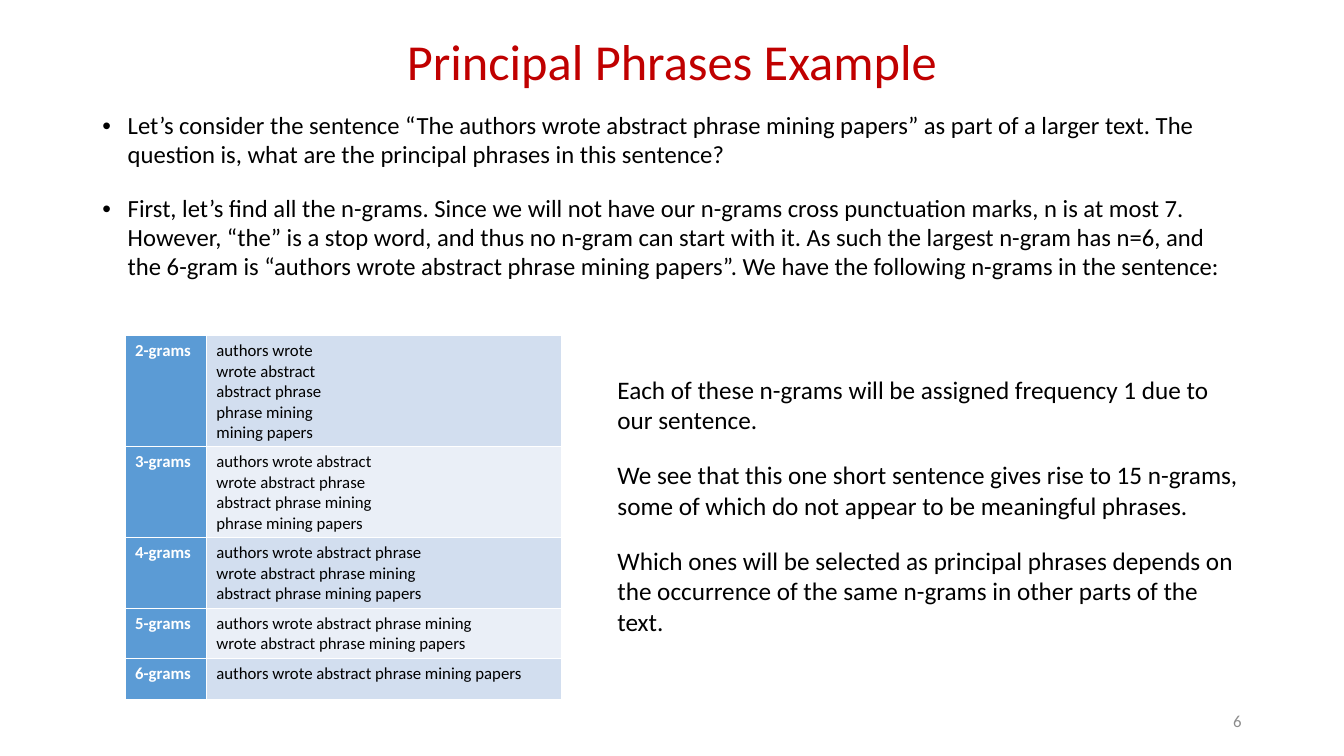
from dataclasses import dataclass

from pptx import Presentation
from pptx.dml.color import RGBColor as RGB
from pptx.enum.text import MSO_ANCHOR as ANCHOR, MSO_AUTO_SIZE as FIT, PP_ALIGN as ALIGN
from pptx.oxml.ns import qn
from pptx.util import Cm, Pt
from lxml import etree


@dataclass(frozen=True)
class Theme:
    font: str = "Calibri"
    title: str = "C00000"
    text: str = "000000"
    muted: str = "8C8C8C"
    white: str = "FFFFFF"
    label_fill: str = "5B9BD5"
    bands: tuple = ("D2DEEF", "EAEFF7")
    title_size: float = 36
    bullet_size: float = 17.6
    remark_size: float = 18
    small_size: float = 12
    gap: float = 18


T = Theme()
PHRASE = "authors wrote abstract phrase mining papers"
BULLETS = [
    "Let’s consider the sentence “The authors wrote abstract phrase mining papers” as part "
    "of a larger text. The question is, what are the principal phrases in this sentence?",
    "First, let’s find all the n-grams. Since we will not have our n-grams cross punctuation "
    "marks, n is at most 7. However, “the” is a stop word, and thus no n-gram can start with "
    "it. As such the largest n-gram has n=6, and the 6-gram is “authors wrote abstract phrase "
    "mining papers”. We have the following n-grams in the sentence:",
]
REMARKS = [
    "Each of these n-grams will be assigned frequency 1 due to our sentence.",
    "We see that this one short sentence gives rise to 15 n-grams, some of which do not "
    "appear to be meaningful phrases.",
    "Which ones will be selected as principal phrases depends on the occurrence of the same "
    "n-grams in other parts of the text.",
]


def write(tf, lines, size, color, bold=False, align=ALIGN.LEFT, after=0, spacing=1.0):
    """Fill a text frame with one paragraph per line."""
    tf.word_wrap = True
    for i, line in enumerate(lines):
        p = tf.add_paragraph() if i else tf.paragraphs[0]
        p.alignment, p.space_after, p.line_spacing = align, Pt(after), spacing
        r = p.add_run()
        r.text = line
        r.font.name, r.font.size, r.font.bold = T.font, Pt(size), bold
        r.font.color.rgb = RGB.from_string(color)


def add_text(s, box, lines, size, color, anchor=ANCHOR.TOP, **style):
    tf = s.shapes.add_textbox(*map(Cm, box)).text_frame
    tf.vertical_anchor = anchor
    write(tf, lines, size, color, **style)
    return tf


def add_title(s, box, text):
    sp = s.shapes.title
    sp.left, sp.top, sp.width, sp.height = map(Cm, box)
    tf = sp.text_frame
    tf.auto_size, tf.vertical_anchor = FIT.NONE, ANCHOR.MIDDLE
    write(tf, [text], T.title_size, T.title, align=ALIGN.CENTER, spacing=0.9)


def add_bullets(s, box, lines):
    tf = add_text(s, box, lines, T.bullet_size, T.text, after=T.gap, spacing=0.98)
    indent = Cm(0.64)
    for p in tf.paragraphs:
        pPr = p._p.get_or_add_pPr()
        pPr.set("marL", str(indent))
        pPr.set("indent", str(-indent))
        etree.SubElement(pPr, qn("a:buFont")).set("typeface", "Arial")
        etree.SubElement(pPr, qn("a:buChar")).set("char", "•")


def style_cell(cell, fill):
    """Set white borders, then the fill that follows them in the cell XML."""
    tcPr = cell._tc.get_or_add_tcPr()
    for side in ("lnL", "lnR", "lnT", "lnB"):
        ln = etree.SubElement(tcPr, qn(f"a:{side}"), w=str(Pt(1)))
        solid = etree.SubElement(ln, qn("a:solidFill"))
        etree.SubElement(solid, qn("a:srgbClr")).set("val", T.white)
    cell.fill.solid()
    cell.fill.fore_color.rgb = RGB.from_string(fill)


def ngrams(phrase, n):
    words = phrase.split()
    return [" ".join(words[i:i + n]) for i in range(len(words) - n + 1)]


def add_ngram_table(s, box, phrase):
    sizes = range(2, len(phrase.split()) + 1)
    table = s.shapes.add_table(len(sizes), 2, *map(Cm, box)).table
    table.first_row = table.horz_banding = False
    label_width = 2.05
    table.columns[0].width = Cm(label_width)
    table.columns[1].width = Cm(box[2] - label_width)
    for i, n in enumerate(sizes):
        grams = ngrams(phrase, n)
        # Row height follows the number of lines, down to a minimum
        table.rows[i].height = Cm(max(0.51 * len(grams) + 0.25, 1.03))
        label, content = table.cell(i, 0), table.cell(i, 1)
        style_cell(label, T.label_fill)
        style_cell(content, T.bands[i % 2])
        write(label.text_frame, [f"{n}-grams"], T.small_size, T.white, bold=True)
        write(content.text_frame, grams, T.small_size, T.text)


def add_example_slide(prs, box):
    left, top, width, height = box
    right = left + width
    s = prs.slides.add_slide(prs.slide_layouts[5])
    # Title and introduction
    add_title(s, (left, top, width, 1.68), "Principal Phrases Example")
    add_bullets(s, (left, top + 1.9, width, 5.54), BULLETS)
    # Page number
    add_text(s, (right - 7.62, top + height - 1.02, 7.62, 1.02), ["6"], T.small_size,
             T.muted, anchor=ANCHOR.MIDDLE, align=ALIGN.RIGHT)
    # Table and the remarks beside it
    add_ngram_table(s, (left + 0.82, top + 7.67, 11, 9.19), PHRASE)
    add_text(s, (right - 16.23, top + 8.51, 16.23, 6.93), REMARKS, T.remark_size,
             T.text, after=T.gap)


prs = Presentation()
prs.slide_width, prs.slide_height = Cm(33.87), Cm(19.05)
add_example_slide(prs, (2.33, 0.79, 29.21, 17.88))
prs.save("out.pptx")
